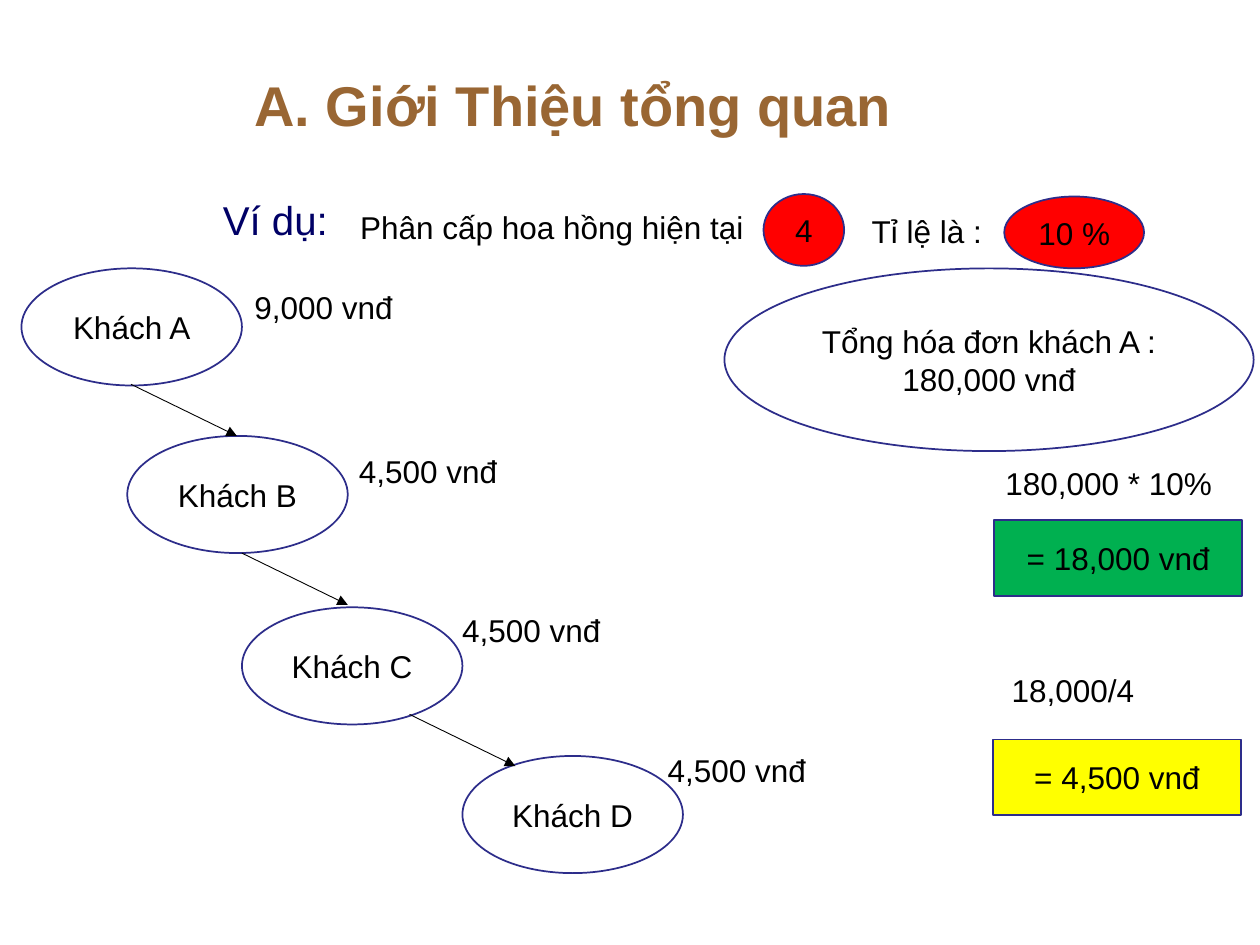
from lxml import etree
from pptx import Presentation
from pptx.dml.color import RGBColor
from pptx.enum import shapes, text
from pptx.oxml import ns
from pptx.util import Inches, Pt

BLACK = RGBColor(0, 0, 0)
WHITE = RGBColor(255, 255, 255)
BROWN = RGBColor(0x99, 0x66, 0x33)
NAVY = RGBColor(0, 0, 0x66)
BLUE = RGBColor(0x2D, 0x2D, 0x8A)
RED = RGBColor(255, 0, 0)
GREEN = RGBColor(0, 0xB0, 0x50)
YELLOW = RGBColor(255, 255, 0)

OVAL = shapes.MSO_SHAPE.OVAL
RECT = shapes.MSO_SHAPE.RECTANGLE
GUEST = (1.75, 0.93)
BADGE_H = 0.57
RESULT = (1.97, 0.6)

# name, left and top of the oval, amount, left and top of the amount
GUESTS = [
    ("Khách A", 0.17, 2.13, "9,000 vnđ", 1.92, 2.24),
    ("Khách B", 1.01, 3.46, "4,500 vnđ", 2.75, 3.54),
    ("Khách C", 1.92, 4.82, "4,500 vnđ", 3.57, 4.8),
    ("Khách D", 3.67, 6, "4,500 vnđ", 5.2, 5.91),
]
ARROWS = [(1.04, 3.05), (1.92, 4.39), (3.25, 5.67)]
STEP = (0.84, 0.41)


def write(frame, words, size=18, color=BLACK, bold=False,
          align=text.PP_ALIGN.LEFT):
    frame.text = words
    frame.word_wrap = True
    para = frame.paragraphs[0]
    para.alignment = align
    font = para.runs[0].font
    font.name, font.size, font.bold = "Arial", Pt(size), bold
    font.color.rgb = color


def add_title(slide, words):
    title = slide.shapes.title
    title.left, title.top = Inches(1.92), Inches(0.31)
    title.width, title.height = Inches(7.75), Inches(1.03)
    write(title.text_frame, words, 32, BROWN, True)
    title.text_frame.vertical_anchor = text.MSO_ANCHOR.MIDDLE


def add_label(slide, words, left, top, width, height=0.4, **style):
    box = slide.shapes.add_textbox(
        Inches(left), Inches(top), Inches(width), Inches(height))
    write(box.text_frame, words, **style)


def add_node(slide, kind, words, left, top, width, height, fill=WHITE):
    node = slide.shapes.add_shape(
        kind, Inches(left), Inches(top), Inches(width), Inches(height))
    node.shadow.inherit = False
    node.fill.solid()
    node.fill.fore_color.rgb = fill
    node.line.color.rgb = BLUE
    node.line.width = Pt(1)
    write(node.text_frame, words, align=text.PP_ALIGN.CENTER)
    node.text_frame.vertical_anchor = text.MSO_ANCHOR.MIDDLE


def add_arrow(slide, left, top):
    arrow = slide.shapes.add_connector(
        shapes.MSO_CONNECTOR.STRAIGHT, Inches(left), Inches(top),
        Inches(left + STEP[0]), Inches(top + STEP[1]))
    arrow.line.color.rgb = BLACK
    arrow.line.width = Pt(0.5)
    props = arrow.line._get_or_add_ln()
    etree.SubElement(props, ns.qn("a:tailEnd"), type="triangle")
    etree.SubElement(props.getparent(), ns.qn("a:effectLst"))


def main():
    deck = Presentation()
    deck.slide_width, deck.slide_height = Inches(10), Inches(7.5)
    slide = deck.slides.add_slide(deck.slide_layouts[5])
    add_title(slide, "A. Giới Thiệu tổng quan")
    add_label(slide, "Ví dụ:", 1.67, 1.5, 1.75, 0.5, size=23, color=NAVY)

    for name, left, top, *_ in GUESTS:
        add_node(slide, OVAL, name, left, top, *GUEST)
    for start in ARROWS:
        add_arrow(slide, *start)
    for *_, amount, left, top in GUESTS:
        add_label(slide, amount, left, top, 1.57)

    add_node(slide, OVAL, "4", 6.06, 1.54, 0.64, BADGE_H, RED)
    add_node(slide, OVAL, "Tổng hóa đơn khách A : 180,000 vnđ",
             5.75, 2.13, 4.2, 1.45)
    add_node(slide, OVAL, "10 %", 7.97, 1.56, 1.11, BADGE_H, RED)
    add_label(slide, "Phân cấp hoa hồng hiện tại", 2.76, 1.6, 3.31)
    add_label(slide, "Tỉ lệ là :", 6.82, 1.63, 1.16)

    add_label(slide, "180,000 * 10%", 7.88, 3.63, 2.08)
    add_node(slide, RECT, "= 18,000 vnđ", 7.89, 4.13, *RESULT, GREEN)
    add_label(slide, "18,000/4", 7.93, 5.28, 2.08)
    add_node(slide, RECT, "= 4,500 vnđ", 7.88, 5.87, *RESULT, YELLOW)
    deck.save("out.pptx")


if __name__ == "__main__":
    main()
